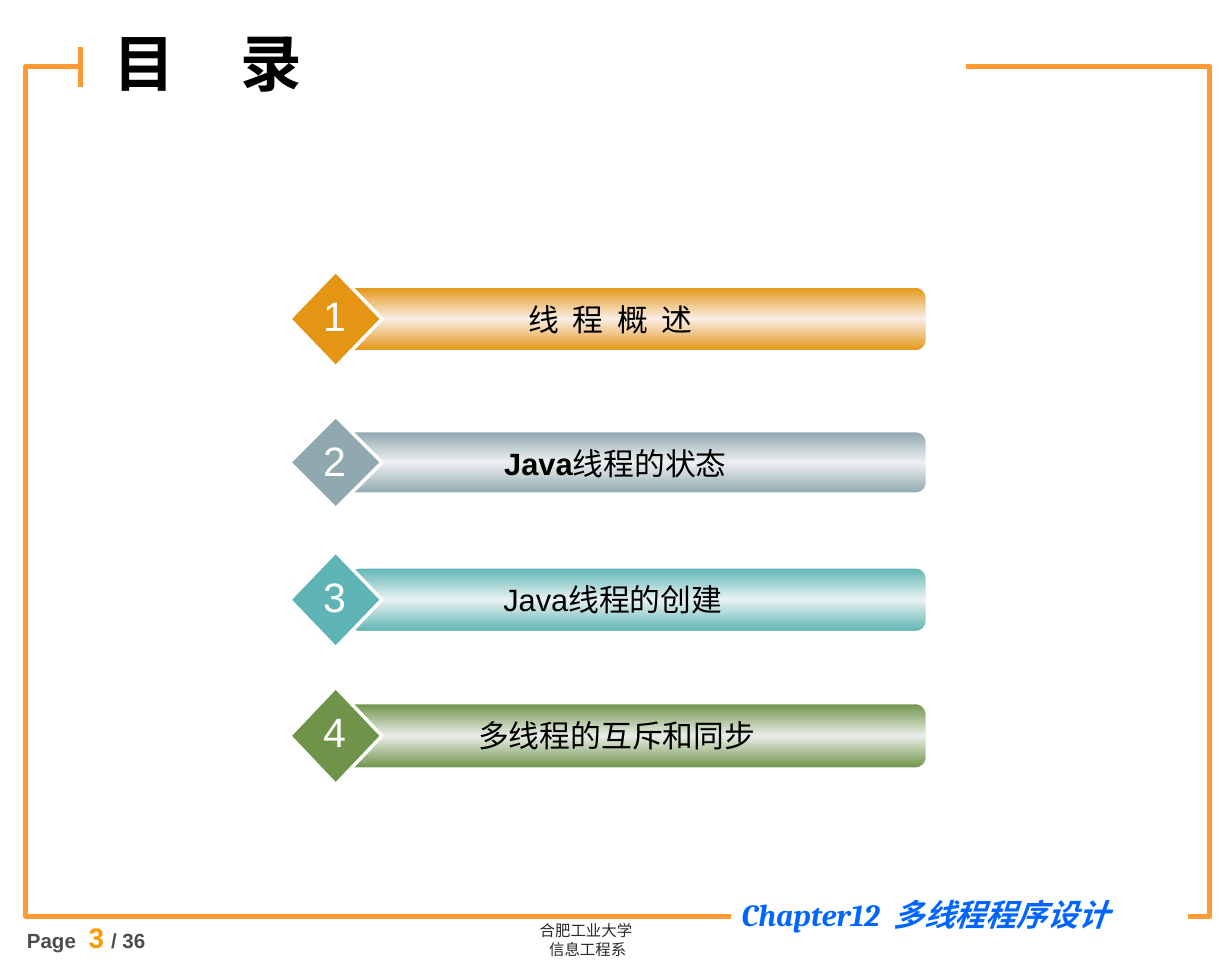
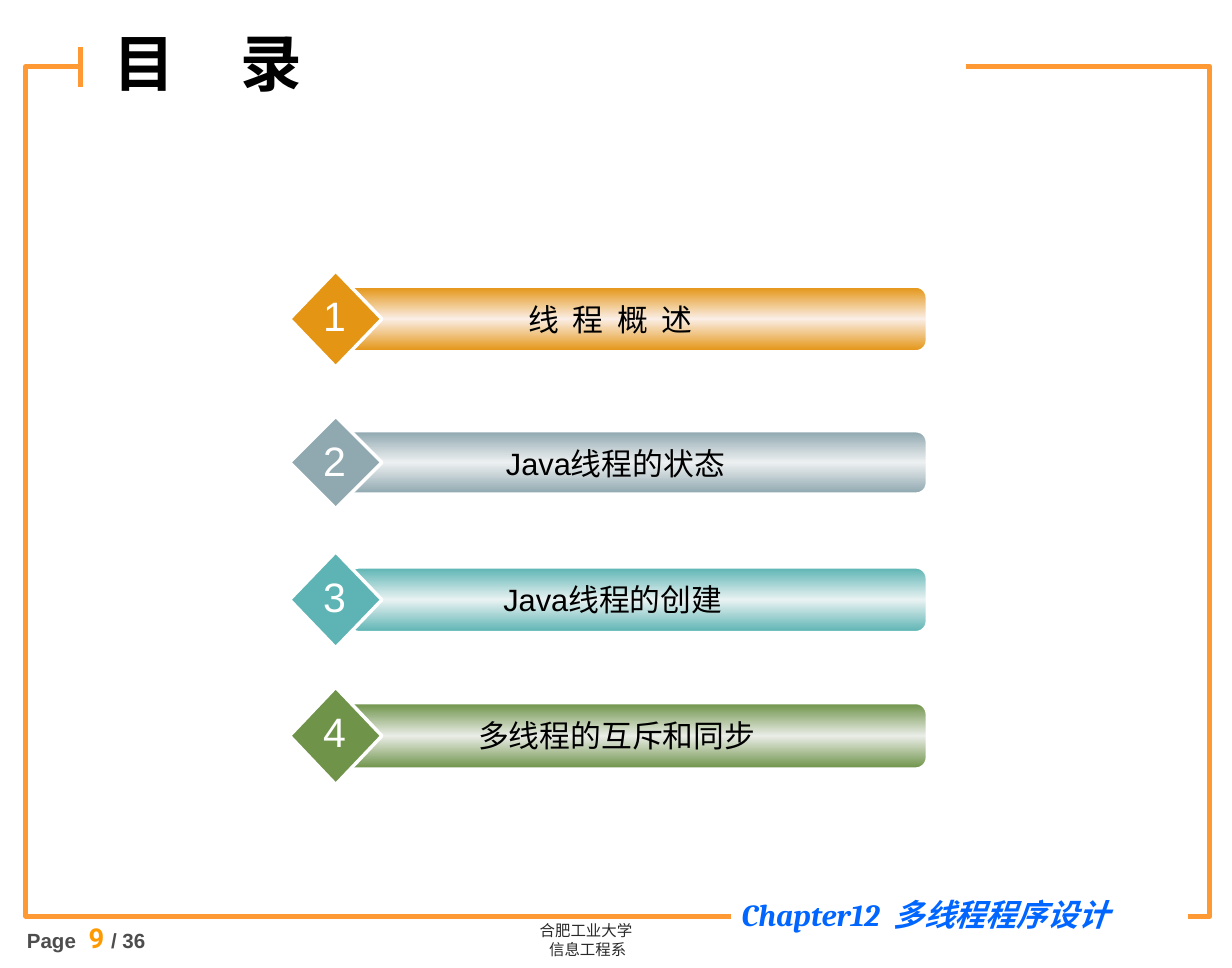
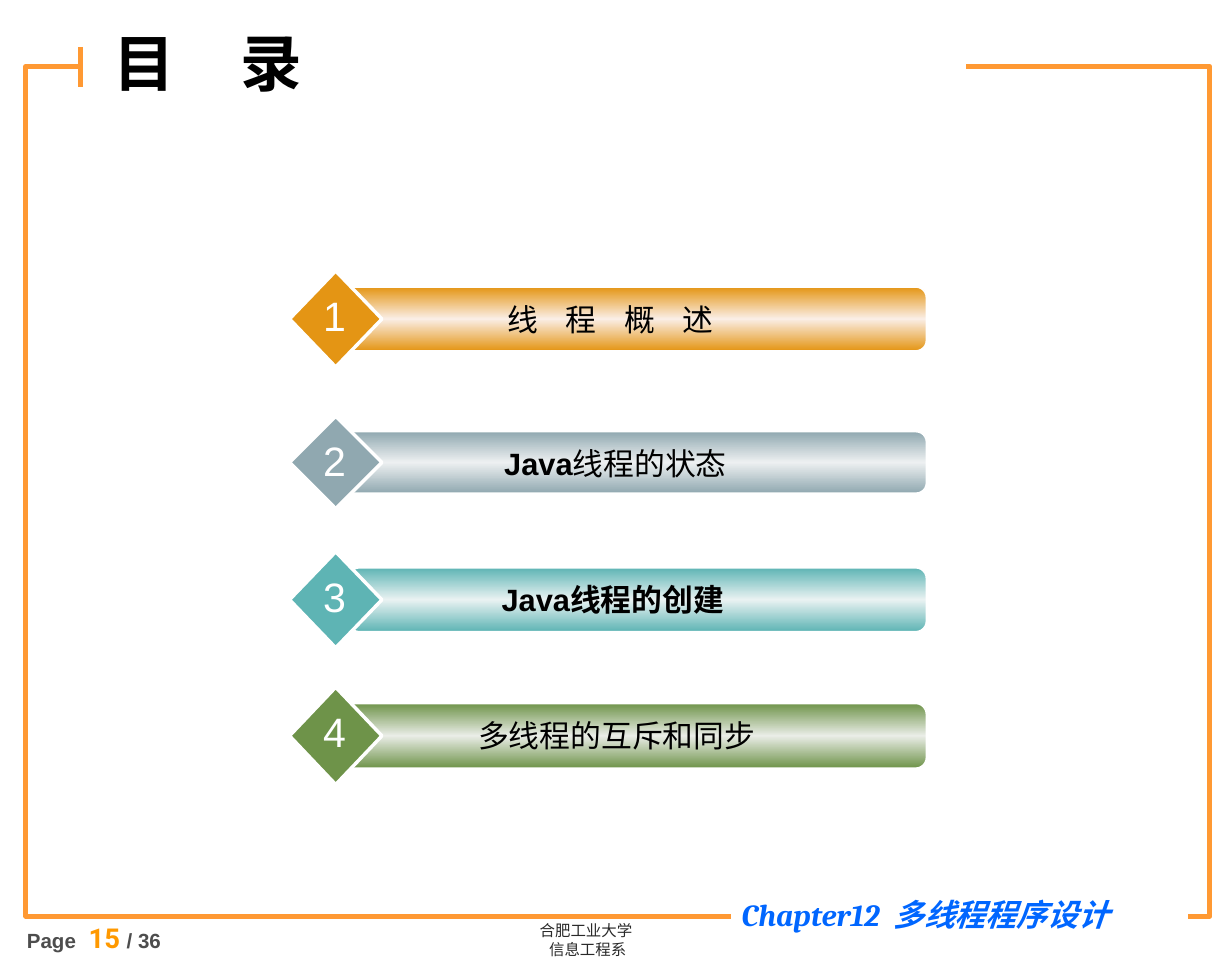
"""Build three agenda pages for a chapter on multithreaded programming."""
import copy
import dataclasses

import pptx
import pptx.dml.color
import pptx.enum.shapes
import pptx.enum.text
import pptx.oxml
import pptx.oxml.ns
import pptx.util

Inches = pptx.util.Inches
Shape = pptx.enum.shapes.MSO_SHAPE
Align = pptx.enum.text.PP_ALIGN
AutoSize = pptx.enum.text.MSO_AUTO_SIZE


@dataclasses.dataclass(frozen=True)
class Theme:
    """Colours, fonts and type sizes of the deck."""
    white: str = "FFFFFF"
    black: str = "000000"
    frame: str = "FF9933"
    chapter: str = "0066FF"
    footer: str = "292929"
    page_text: str = "4D4D4D"
    page_number: str = "FF9900"
    latin: str = "Arial"
    chinese: str = "Noto Sans CJK SC"
    chapter_font: str = "Cambria"
    number_font: str = "Roboto"
    title_size: int = 36
    badge_size: int = 24
    body_size: int = 18
    page_number_size: int = 16
    page_size: int = 12
    footer_size: int = 9


THEME = Theme()


@dataclasses.dataclass(frozen=True)
class Span:
    """A run of text; gap widens its letter spacing in points."""
    text: str
    size: int = THEME.body_size
    color: str = THEME.black
    font: str = THEME.latin
    bold: bool = False
    italic: bool = False
    gap: float = 0


@dataclasses.dataclass(frozen=True)
class Row:
    """Place and colours of one agenda row."""
    top: float
    height: float
    bar_left: float
    label_left: float
    label_width: float
    color: str
    glow: str


ROWS = (
    Row(2.2, 0.78, 2.77, 3.02, 3.87, "E49514", "FAEEE6"),
    Row(3.38, 0.75, 2.77, 3.02, 3.95, "90A8B0", "EDF0F1"),
    Row(4.48, 0.78, 2.83, 3.06, 3.83, "5EB4B4", "E9F2F2"),
    Row(5.58, 0.79, 2.77, 3.04, 3.93, "6E9349", "EAEDE7"),
)
BAR_RIGHT = 7.52
BAR_SHARE = 2 / 3


def rgb(color):
    """Return a colour object for a hex string."""
    return pptx.dml.color.RGBColor.from_string(color)


def spaced(text, gap, **style):
    """Return spans for words whose single spaces are widened by gap."""
    spans = []
    for index, word in enumerate(text.split(" ")):
        if index:
            spans.append(Span(" ", gap=gap, **style))
        spans.append(Span(word, **style))
    return spans


def write(para, spans, align=Align.LEFT):
    """Add the spans to a paragraph as formatted runs."""
    para.alignment = align
    for span in spans:
        run = para.add_run()
        run.text = span.text
        font = run.font
        font.size = pptx.util.Pt(span.size)
        font.name = span.font
        font.bold = span.bold
        font.italic = span.italic
        font.color.rgb = rgb(span.color)
        properties = run._r.get_or_add_rPr()
        if span.gap:
            properties.set("spc", str(round(span.gap * 100)))
        east_asian = pptx.oxml.parse_xml(
            f'<a:ea {pptx.oxml.ns.nsdecls("a")} typeface="{THEME.chinese}"/>')
        properties.find(pptx.oxml.ns.qn("a:latin")).addnext(east_asian)


def add_text(shapes, place, paragraphs, align=Align.LEFT, wrap=True, grow=True):
    """Add a text box with one list of spans per paragraph."""
    box = shapes.add_textbox(*map(Inches, place))
    frame = box.text_frame
    frame.word_wrap = wrap
    frame.auto_size = AutoSize.SHAPE_TO_FIT_TEXT if grow else AutoSize.NONE
    for index, spans in enumerate(paragraphs):
        para = frame.add_paragraph() if index else frame.paragraphs[0]
        write(para, spans, align)
    return box


def add_box(shapes, kind, place, line, width, fill=None):
    """Add a preset shape with a plain fill or none."""
    box = shapes.add_shape(kind, *map(Inches, place))
    box.shadow.inherit = False
    box.line.color.rgb = rgb(line)
    box.line.width = pptx.util.Pt(width)
    if fill:
        box.fill.solid()
        box.fill.fore_color.rgb = rgb(fill)
    else:
        box.fill.background()
    return box


def add_line(shapes, start, end):
    """Add a frame-coloured straight line."""
    line = shapes.add_connector(pptx.enum.shapes.MSO_CONNECTOR.STRAIGHT,
                                *map(Inches, start + end))
    line.line.color.rgb = rgb(THEME.frame)
    line.line.width = pptx.util.Pt(3)
    line._element.spPr.append(pptx.oxml.parse_xml(
        f'<a:effectLst {pptx.oxml.ns.nsdecls("a")}/>'))


def shade(box, edge, middle):
    """Fill a shape from edge colour to middle colour and back, downwards."""
    box.fill.gradient()
    box.fill.gradient_angle = 90
    first = box.fill._fill._gradFill.gsLst[0]
    first.addnext(copy.deepcopy(first))
    for stop, position, color in zip(box.fill.gradient_stops, (0, 0.5, 1),
                                     (edge, middle, edge)):
        stop.position = position
        stop.color.rgb = rgb(color)


def add_frame(shapes):
    """Draw the border, its two openings, the chapter name and the footer."""
    add_box(shapes, Shape.RECTANGLE, (0.21, 0.54, 9.61, 6.9), THEME.frame, 3)
    for opening in ((0.67, 0.41, 7.17, 0.25), (5.94, 7.08, 3.7, 0.63)):
        add_box(shapes, Shape.RECTANGLE, opening, THEME.white, 0.75, THEME.white)
    add_line(shapes, (0.65, 0.38), (0.65, 0.71))
    chapter = spaced("Chapter12 多线程程序设计", 4, color=THEME.chapter,
                     font=THEME.chapter_font, bold=True, italic=True)
    box = add_text(shapes, (5.71, 7.22, 3.7, 0.37), [chapter], grow=False)
    box.text_frame.margin_left = Inches(0.31)
    footer = [[Span(name, THEME.footer_size, THEME.footer, THEME.chinese)]
              for name in ("合肥工业大学 ", "信息工程系")]
    add_text(shapes, (3.35, 7.43, 2.84, 0.4), footer, Align.CENTER)


def share_frame(page):
    """Draw the frame once and move it to the layout of the page."""
    layout = page.slide_layout
    for holder in list(layout.placeholders):
        if holder.placeholder_format.idx:
            holder._element.getparent().remove(holder._element)
    add_frame(page.shapes)
    for shape in list(page.shapes):
        if not shape.is_placeholder:
            layout.shapes._spTree.append(shape._element)


def set_title(page):
    """Move and fill the title placeholder."""
    title = page.shapes.title
    title.left, title.top, title.width, title.height = map(
        Inches, (0.82, 0.15, 4.49, 0.71))
    frame = title.text_frame
    frame.auto_size = AutoSize.NONE
    frame.vertical_anchor = pptx.enum.text.MSO_ANCHOR.MIDDLE
    write(frame.paragraphs[0],
          spaced("目 录", 30, size=THEME.title_size, bold=True))


def add_page_number(page, number):
    """Write the page number in the lower left corner."""
    small = dict(size=THEME.page_size, color=THEME.page_text, bold=True)
    large = dict(size=THEME.page_number_size, color=THEME.page_number,
                 font=THEME.number_font)
    spans = [Span("Page", **small), Span(" ", gap=3.4, **large),
             Span(f"{number} ", bold=True, **large), Span("/ 36", **small)]
    add_text(page.shapes, (0.12, 7.43, 1.42, 0.37), [spans])


def add_row(page, number, row, label):
    """Add one numbered diamond with its shaded bar and label."""
    shapes = page.shapes.add_group_shape().shapes
    bar_height = row.height * BAR_SHARE
    bar_top = row.top + (row.height - bar_height) / 2
    bar = add_box(shapes, Shape.ROUNDED_RECTANGLE,
                  (row.bar_left, bar_top, BAR_RIGHT - row.bar_left, bar_height),
                  THEME.white, 1)
    shade(bar, row.color, row.glow)
    add_box(shapes, Shape.DIAMOND, (2.35, row.top, 0.75, row.height),
            THEME.white, 2, row.color)
    add_text(shapes, (row.label_left, bar_top + 0.06, row.label_width, 0.4),
             [label], Align.CENTER)
    badge = Span(str(number), THEME.badge_size, THEME.white)
    add_text(shapes, (2.52, row.top + 0.11, 0.39, 0.5), [[badge]],
             Align.CENTER, wrap=False)


def agenda(overview_gap=4, bold_states=False, bold_creation=False):
    """Return the four labels with the wanted emphasis."""
    return (
        spaced(" 线 程 概 述".strip(), overview_gap, font=THEME.chinese),
        [Span("Java", bold=bold_states), Span("线程的状态")],
        [Span("Java线程的创建", bold=bold_creation)],
        [Span("多线程的互斥和同步")],
    )


def main():
    """Build the deck and save it."""
    deck = pptx.Presentation()
    deck.slide_width, deck.slide_height = Inches(10), Inches(7.86)
    layout = deck.slide_layouts[5]
    pages = (
        (3, agenda(bold_states=True)),
        (9, agenda()),
        (15, agenda(overview_gap=12, bold_states=True, bold_creation=True)),
    )
    for index, (page_number, labels) in enumerate(pages):
        page = deck.slides.add_slide(layout)
        if index == 0:
            share_frame(page)
        set_title(page)
        add_page_number(page, page_number)
        for number, (row, label) in enumerate(zip(ROWS, labels), start=1):
            add_row(page, number, row, label)
    deck.save("out.pptx")


if __name__ == "__main__":
    main()
